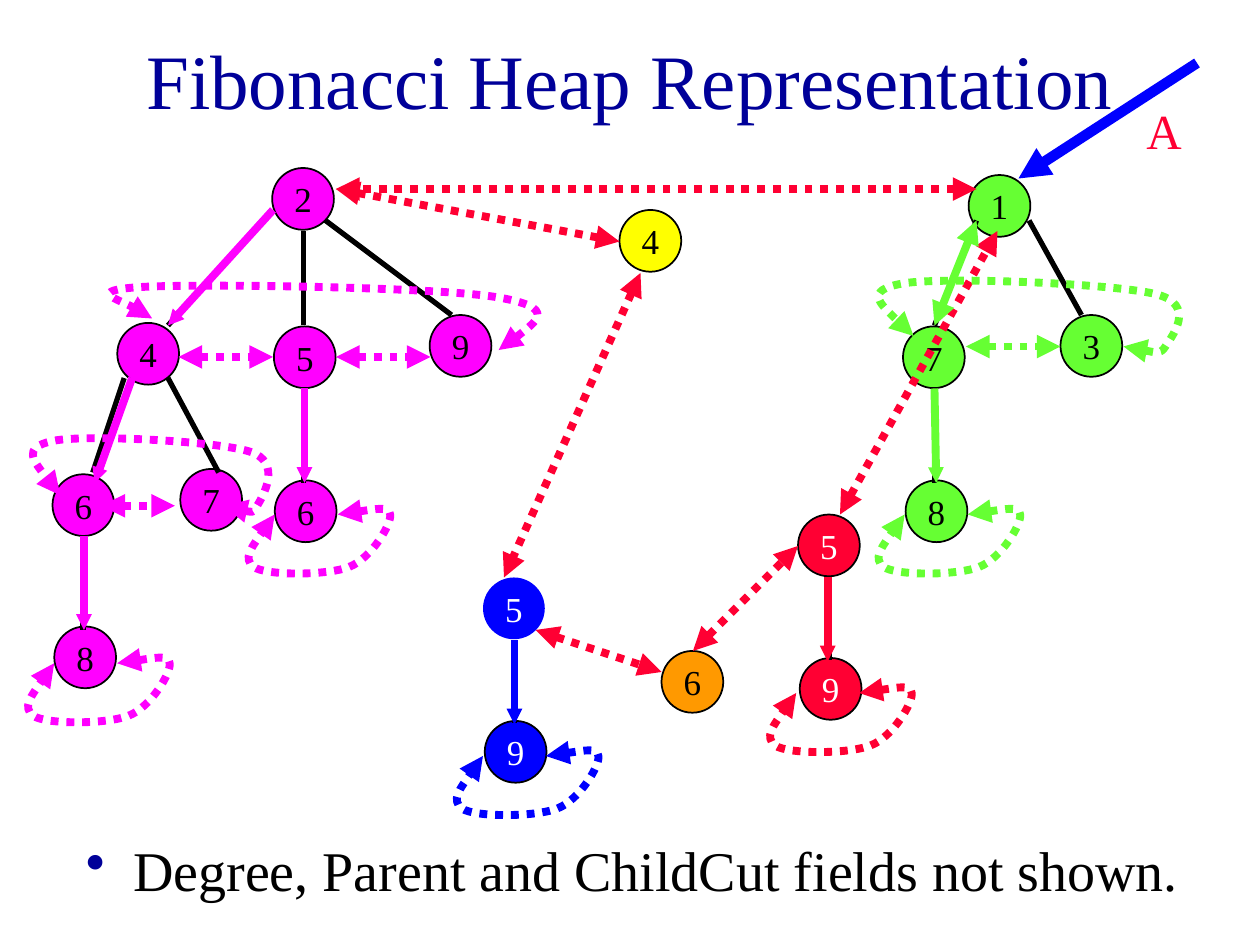
from pptx import Presentation
from pptx.dml.color import RGBColor
from pptx.enum.dml import MSO_LINE
from pptx.enum.shapes import MSO_CONNECTOR, MSO_SHAPE
from pptx.enum.text import MSO_ANCHOR, PP_ALIGN
from pptx.oxml.ns import qn
from pptx.util import Pt
from lxml.etree import SubElement

BLACK, WHITE, NAVY = "000000", "FFFFFF", "000099"
PINK, GREEN, RED, BLUE = "FF00FF", "66FF33", "FF0033", "0000FF"
YELLOW, ORANGE = "FFFF00", "FF9900"

NODES = [
    ("2", 155.5, 96, PINK), ("4", 67, 184.5, PINK), ("5", 156.5, 186.5, PINK),
    ("9", 245.5, 180, PINK), ("6", 30, 271, PINK), ("7", 103, 268, PINK),
    ("6", 157, 274.5, PINK), ("8", 31, 358, PINK),
    ("1", 553.5, 100, GREEN), ("7", 516, 186.5, GREEN),
    ("3", 606, 180, GREEN), ("8", 517.5, 274.5, GREEN),
    ("5", 276, 330, BLUE), ("9", 277, 412, BLUE),
    ("5", 456, 294, RED), ("9", 457, 376, RED),
    ("4", 354, 120, YELLOW), ("6", 378, 372, ORANGE),
]
TREE_EDGES = [
    (474, 330, 474, 377), (534, 222, 534, 276), (558, 126, 534, 186),
    (588, 126, 618, 180), (294, 366, 294, 413), (173.5, 222, 173.5, 276),
    (173.5, 132, 173.5, 186), (186, 126, 258, 180), (47.5, 306, 47.5, 360),
    (71, 216, 53, 270), (96, 216, 125, 270), (155.5, 120, 96, 186),
]
SIBLING_LINKS = [
    (192, 108, 354, 138, RED), (366, 156, 288, 330, RED),
    (306, 360, 378, 384, RED), (396, 372, 456, 312, RED),
    (480, 294, 570, 132, RED), (558, 108, 192, 108, RED),
    (102, 204, 156, 204, PINK), (192, 204, 246, 204, PINK),
    (58, 289, 100, 289, PINK), (552, 198, 606, 198, GREEN),
]
CHILD_LINKS = [
    (156, 120, 96, 186, PINK), (75.5, 216, 54, 276, PINK),
    (48, 306, 48, 360, PINK), (174, 222, 174, 276, PINK),
    (534, 222, 535, 276, GREEN), (294, 366, 294, 414, BLUE),
    (473, 330, 473, 378, RED),
]
RING_LINKS = [
    (PINK, [(285, 200), (302, 188), (319, 176), (285, 170), (251, 164), (114, 162),
            (81, 164), (48, 166), (86, 179), (87, 182)]),
    (GREEN, [(642, 198), (652, 200), (663, 203), (666, 198), (669, 193), (685, 174),
             (660, 168), (635, 162), (539, 158), (516, 162), (493, 166), (508, 179),
             (522, 192)]),
    (PINK, [(128, 289), (137, 292), (145, 294), (147, 289), (150, 284), (162, 264),
            (142.5, 258), (123, 252), (48, 248), (30, 252), (12, 256), (23, 269),
            (34.5, 283)]),
]
SELF_LOOP = [(0, 0), (14.5, -2), (29.5, -5), (30, 0), (31, 5), (19.5, 25), (6.5, 30),
             (-6.5, 35), (-41, 35), (-48, 30), (-54.5, 25), (-45, 12.5), (-36, 0)]
SELF_LOOP_STARTS = [(312, 432, BLUE), (553, 294, GREEN), (491, 396, RED),
                    (67, 379, PINK), (193, 294, PINK)]


def colour(value):
    """Turn a hex string into a colour."""
    return RGBColor.from_string(value)


class HeapSlide:
    """Style and current page of the heap drawing."""

    font = "Times New Roman"
    node_size = 35.3
    link_width = 4.5

    def __init__(self, page):
        self.page = page

    def set_text(self, frame, text, size, ink, align=PP_ALIGN.LEFT):
        """Put one styled paragraph in a frame and return it."""
        frame.text = text
        para = frame.paragraphs[0]
        para.alignment = align
        for span in para.runs:
            span.font.name = self.font
            span.font.size = Pt(size)
            span.font.color.rgb = colour(ink)
        return para

    def label(self, text, place, size, ink, align=PP_ALIGN.LEFT, anchor=MSO_ANCHOR.TOP):
        """Add a text box."""
        frame = self.page.shapes.add_textbox(*map(Pt, place)).text_frame
        frame.word_wrap = True
        frame.vertical_anchor = anchor
        self.set_text(frame, text, size, ink, align)

    def bullet(self, text, place, size):
        """Add a white panel with one bulleted line."""
        panel = self.page.shapes.add_shape(MSO_SHAPE.RECTANGLE, *map(Pt, place))
        panel.shadow.inherit = False
        panel.fill.solid()
        panel.fill.fore_color.rgb = colour(WHITE)
        self.stroke(panel.line, WHITE, 0.75)
        panel.text_frame.vertical_anchor = MSO_ANCHOR.TOP
        para = self.set_text(panel.text_frame, text, size, BLACK)
        properties = para._p.get_or_add_pPr()
        properties.set("marL", str(Pt(27)))
        properties.set("indent", str(Pt(-27)))
        SubElement(SubElement(properties, qn("a:buClr")), qn("a:srgbClr"), val=NAVY)
        SubElement(properties, qn("a:buChar"), char="•")

    def node(self, key, left, top, fill):
        """Add a round heap node with its key."""
        circle = self.page.shapes.add_shape(
            MSO_SHAPE.OVAL, *map(Pt, (left, top, self.node_size, self.node_size)))
        circle.shadow.inherit = False
        circle.fill.solid()
        circle.fill.fore_color.rgb = colour(fill)
        self.stroke(circle.line, BLACK, 1)
        frame = circle.text_frame
        frame.margin_left = frame.margin_right = frame.margin_top = frame.margin_bottom = 0
        frame.word_wrap = False
        frame.vertical_anchor = MSO_ANCHOR.MIDDLE
        self.set_text(frame, key, 20, WHITE if fill in (BLUE, RED) else BLACK, PP_ALIGN.CENTER)
        return circle

    def stroke(self, line, ink, width, dotted=False, ends=(), size="med"):
        """Style a line, its dots and its arrowheads."""
        line.color.rgb = colour(ink)
        line.width = Pt(width)
        if dotted:
            line.dash_style = MSO_LINE.ROUND_DOT
        for end in ends:
            SubElement(line._get_or_add_ln(), qn(f"a:{end}End"), type="triangle", w=size, len=size)

    def straight(self, points, ink, width, **style):
        """Add a straight line."""
        connector = self.page.shapes.add_connector(MSO_CONNECTOR.STRAIGHT, *map(Pt, points))
        self.stroke(connector.line, ink, width, **style)
        SubElement(connector._element.spPr, qn("a:effectLst"))

    def curve(self, points, ink):
        """Add a dotted Bézier link through a start and triples of control points."""
        start, *rest = [(Pt(x), Pt(y)) for x, y in points]
        builder = self.page.shapes.build_freeform(*start)
        builder.add_line_segments(rest, close=False)
        link = builder.convert_to_shape()
        link.shadow.inherit = False
        link.fill.background()
        self.stroke(link.line, ink, self.link_width, dotted=True, ends=("head", "tail"))
        segments = list(link._element.iter(qn("a:lnTo")))
        outline = segments[0].getparent()
        for first in range(0, len(segments), 3):
            bend = SubElement(outline, qn("a:cubicBezTo"))
            for segment in segments[first:first + 3]:
                bend.append(segment[0])
                outline.remove(segment)


def main():
    """Build the slide."""
    deck = Presentation()
    deck.slide_width, deck.slide_height = Pt(720), Pt(540)
    heap = HeapSlide(deck.slides.add_slide(deck.slide_layouts[6]))
    heap.label("Fibonacci Heap Representation", (54, 0, 612, 90), 44, NAVY,
               PP_ALIGN.CENTER, MSO_ANCHOR.MIDDLE)
    heap.bullet("Degree, Parent and ChildCut fields not shown.", (42, 474, 648, 54), 32)
    for key, left, top, fill in NODES:
        circle = heap.node(key, left, top, fill)
        if (key, fill) == ("5", BLUE):
            circle.line.fill.background()
    for points in TREE_EDGES:
        heap.straight(points, BLACK, 3)
    for *points, ink in SIBLING_LINKS:
        heap.straight(points, ink, heap.link_width, dotted=True, ends=("head", "tail"))
    for ink, points in RING_LINKS:
        heap.curve(points, ink)
    for left, top, ink in SELF_LOOP_STARTS:
        heap.curve([(left + x, top + y) for x, y in SELF_LOOP], ink)
    for *points, ink in CHILD_LINKS:
        heap.straight(points, ink, heap.link_width, ends=("tail",), size="sm")
    heap.straight((558, 126, 534, 186), GREEN, heap.link_width, ends=("head", "tail"))
    heap.straight((684, 36, 582, 102), BLUE, 6, ends=("tail",))
    heap.label("A", (648, 54, 72, 41), 28, RED)
    deck.save("out.pptx")


if __name__ == "__main__":
    main()
